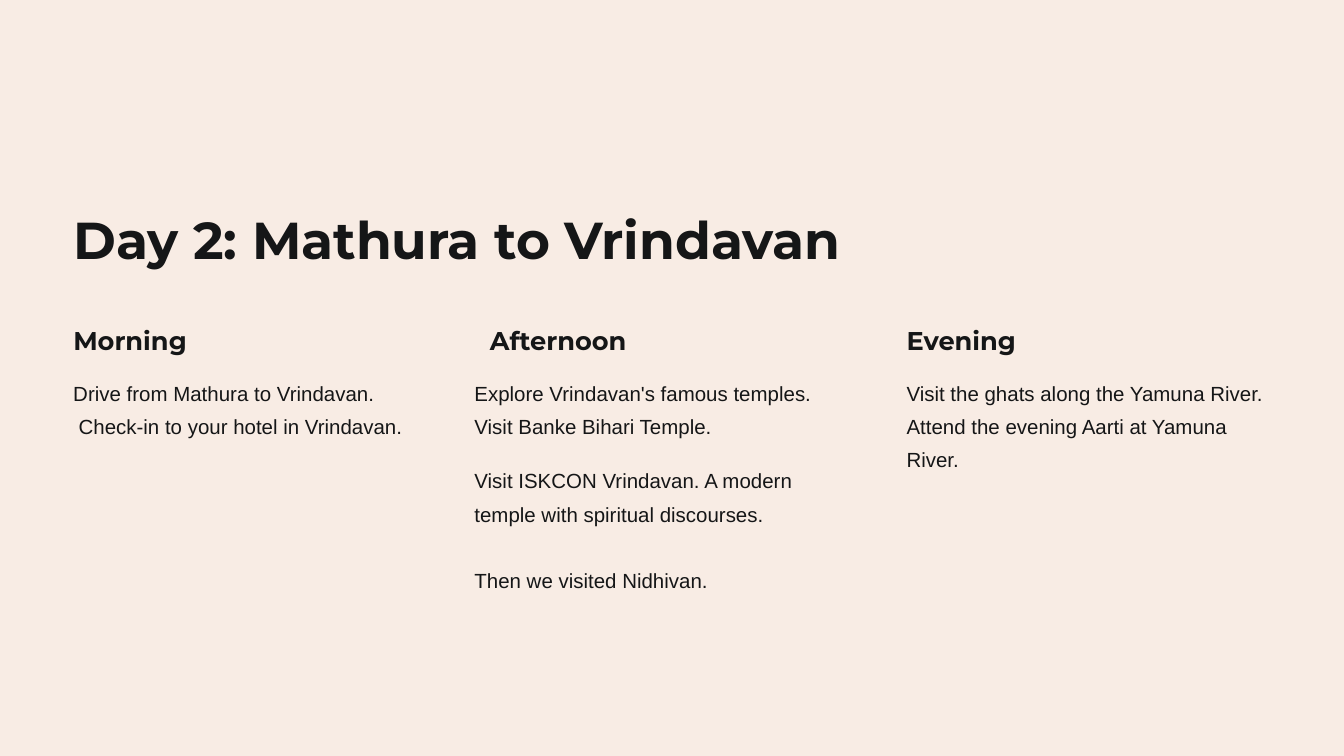
from pptx import Presentation
from pptx.dml.color import RGBColor
from pptx.enum.shapes import MSO_SHAPE
from pptx.util import Inches, Pt

RECTANGLE = MSO_SHAPE.RECTANGLE

THEME = {
    "background": RGBColor.from_string("F8ECE4"),
    "ink": RGBColor.from_string("151617"),
    "title": {"name": "Montserrat", "size": Pt(55.6), "bold": True},
    "heading": {"name": "Montserrat", "size": Pt(27.5), "bold": True},
    "body": {"name": "Arial", "size": Pt(21.9), "bold": False},
}
LINE_SPACING = {"title": Pt(69.4), "heading": Pt(34.4), "body": Pt(35.6)}

PAGE_WIDTH, PAGE_HEIGHT = 20, 11.25
LEFT, COLUMN_STEP = 1.09, 6.2
HEADING_TOP, HEADING_WIDTH, HEADING_HEIGHT = 4.81, 3.88, 0.5
BODY_WIDTH = 5.44

TITLE = "Day 2: Mathura to Vrindavan"

# Each note: top, height, paragraphs as (text, indent in inches, lines before)
COLUMNS = [
    {"heading": "Morning", "body_shift": 0, "notes": [
        (5.54, 1.57, [("Drive from Mathura to Vrindavan.", 0, 0),
                      ("Check-in to your hotel in Vrindavan.", 0.08, 0)]),
    ]},
    {"heading": "Afternoon", "body_shift": -0.23, "notes": [
        (5.54, 1.08, [("Explore Vrindavan's famous temples. "
                       "Visit Banke Bihari Temple.", 0, 0)]),
        (6.84, 3.28, [("Visit ISKCON Vrindavan. A modern temple "
                       "with spiritual discourses.", 0, 0),
                      ("Then we visited Nidhivan.", 0, 1)]),
    ]},
    {"heading": "Evening", "body_shift": 0, "notes": [
        (5.54, 1.57, [("Visit the ghats along the Yamuna River. "
                       "Attend the evening Aarti at Yamuna River.", 0, 0)]),
    ]},
]


def add_background(page):
    panel = page.shapes.add_shape(RECTANGLE, 0, 0, Inches(PAGE_WIDTH), Inches(PAGE_HEIGHT))
    panel.shadow.inherit = False
    panel.fill.solid()
    panel.fill.fore_color.rgb = THEME["background"]
    panel.line.fill.background()


def add_text(page, left, top, width, height, paragraphs, style):
    box = page.shapes.add_textbox(*map(Inches, (left, top, width, height)))
    frame = box.text_frame
    frame.word_wrap = True
    for side in ("left", "top", "right", "bottom"):
        setattr(frame, f"margin_{side}", 0)
    for index, (text, indent, lines_before) in enumerate(paragraphs):
        para = frame.add_paragraph() if index else frame.paragraphs[0]
        para.line_spacing = LINE_SPACING[style]
        if lines_before:
            para.space_before = lines_before * LINE_SPACING[style]
        if indent:
            para._p.get_or_add_pPr().set("marL", str(Inches(indent)))
        span = para.add_run()
        span.text = text
        for name, value in THEME[style].items():
            setattr(span.font, name, value)
        span.font.color.rgb = THEME["ink"]


def main():
    deck = Presentation()
    deck.slide_width, deck.slide_height = Inches(PAGE_WIDTH), Inches(PAGE_HEIGHT)
    page = deck.slides.add_slide(deck.slide_layouts[6])

    add_background(page)
    add_text(page, LEFT, 3.05, 11.94, 1, [(TITLE, 0, 0)], "title")
    for index, column in enumerate(COLUMNS):
        left = LEFT + index * COLUMN_STEP
        add_text(page, left, HEADING_TOP, HEADING_WIDTH, HEADING_HEIGHT,
                 [(column["heading"], 0, 0)], "heading")
        for top, height, paragraphs in column["notes"]:
            add_text(page, left + column["body_shift"], top, BODY_WIDTH, height,
                     paragraphs, "body")

    deck.save("out.pptx")


if __name__ == "__main__":
    main()
